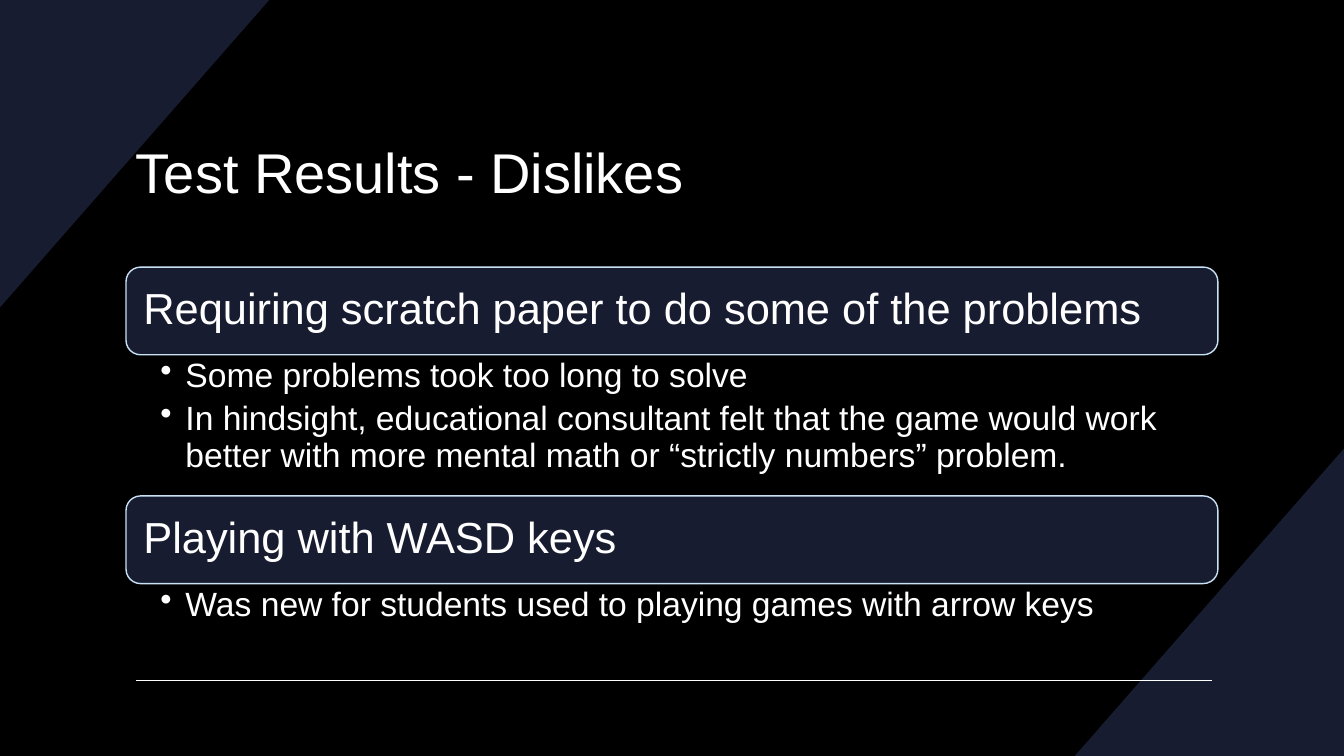
from dataclasses import dataclass

import pptx
import pptx.dml.color
import pptx.enum.shapes
import pptx.enum.text
import pptx.oxml.ns
import pptx.util
from lxml import etree
from pptx.util import Inches


@dataclass(frozen=True)
class Theme:
    font: str = "Arial"
    background: str = "000000"
    panel: str = "181C30"
    outline: str = "C8E1F4"
    text: str = "FFFFFF"
    title_size: int = 40
    heading_size: int = 31
    bullet_size: int = 24
    line_width: int = 1


def color(value):
    return pptx.dml.color.RGBColor.from_string(value)


class SlideBuilder:
    def __init__(self, presentation, theme):
        self.theme = theme
        self.slide = presentation.slides.add_slide(presentation.slide_layouts[6])
        fill = self.slide.background.fill
        fill.solid()
        fill.fore_color.rgb = color(theme.background)

    def paint(self, shape):
        shape.shadow.inherit = False
        shape.fill.solid()
        shape.fill.fore_color.rgb = color(self.theme.panel)

    def corner(self, points):
        start, *others = [(Inches(x), Inches(y)) for x, y in points]
        builder = self.slide.shapes.build_freeform(*start)
        builder.add_line_segments(others, close=True)
        shape = builder.convert_to_shape()
        self.paint(shape)
        shape.line.fill.background()

    def rule(self, left, right, top):
        connector = self.slide.shapes.add_connector(
            pptx.enum.shapes.MSO_CONNECTOR.STRAIGHT,
            Inches(left), Inches(top), Inches(right), Inches(top),
        )
        connector.line.color.rgb = color(self.theme.text)
        connector.line.width = pptx.util.Pt(self.theme.line_width)
        properties = connector.element.spPr
        etree.SubElement(properties, pptx.oxml.ns.qn("a:effectLst"))

    def fill_text(self, shape, lines, size, insets, middle=True):
        frame = shape.text_frame
        frame.word_wrap = True
        frame.margin_left, frame.margin_top, frame.margin_right, frame.margin_bottom = map(Inches, insets)
        anchor = pptx.enum.text.MSO_ANCHOR
        frame.vertical_anchor = anchor.MIDDLE if middle else anchor.TOP
        frame.text = "\n".join(lines)
        for paragraph in frame.paragraphs:
            paragraph.alignment = pptx.enum.text.PP_ALIGN.LEFT
            for run in paragraph.runs:
                run.font.name = self.theme.font
                run.font.size = pptx.util.Pt(size)
                run.font.color.rgb = color(self.theme.text)
        return frame.paragraphs

    def text_box(self, left, top, width, height):
        return self.slide.shapes.add_textbox(
            Inches(left), Inches(top), Inches(width), Inches(height)
        )

    def title(self, text, left, top, width, height):
        box = self.text_box(left, top, width, height)
        self.fill_text(box, [text], self.theme.title_size, (0.1, 0.05, 0.1, 0.05))

    def heading(self, text, left, top, width, height):
        panel = self.slide.shapes.add_shape(
            pptx.enum.shapes.MSO_SHAPE.ROUNDED_RECTANGLE,
            Inches(left), Inches(top), Inches(width), Inches(height),
        )
        self.paint(panel)
        panel.line.color.rgb = color(self.theme.outline)
        panel.line.width = pptx.util.Pt(self.theme.line_width)
        insets = (0.13, 0.13, 0.13, 0.13)
        for paragraph in self.fill_text(panel, [text], self.theme.heading_size, insets):
            paragraph.line_spacing = 0.9

    def bullets(self, lines, left, top, width, height):
        box = self.text_box(left, top, width, height)
        insets = (0.34, 0.04, 0.24, 0.04)
        for paragraph in self.fill_text(box, lines, self.theme.bullet_size, insets, middle=False):
            paragraph.line_spacing = 0.9
            paragraph.space_after = pptx.util.Pt(0.2 * self.theme.bullet_size)
            properties = paragraph._p.get_or_add_pPr()
            properties.set("marL", str(Inches(0.25)))
            properties.set("indent", str(Inches(-0.25)))
            bullet = etree.SubElement(properties, pptx.oxml.ns.qn("a:buChar"))
            bullet.set("char", "•")


def main():
    width, height = 13.33, 7.5
    presentation = pptx.Presentation()
    presentation.slide_width = Inches(width)
    presentation.slide_height = Inches(height)
    builder = SlideBuilder(presentation, Theme())

    corner_width, corner_height = 2.67, 3.05
    builder.corner([(width, height - corner_height), (width, height), (width - corner_width, height)])
    builder.corner([(0, corner_height), (0, 0), (corner_width, 0)])
    builder.rule(1.35, 12.02, 6.75)

    left, content_width, heading_height = 1.25, 10.83, 0.87
    builder.title("Test Results - Dislikes", left, 0.95, content_width, 1.49)

    dislikes = [
        ("Requiring scratch paper to do some of the problems", 1.4, [
            "Some problems took too long to solve",
            "In hindsight, educational consultant felt that the game would work "
            "better with more mental math or “strictly numbers” problem.",
        ]),
        ("Playing with WASD keys", 0.56, [
            "Was new for students used to playing games with arrow keys",
        ]),
    ]
    top = 2.65
    for heading, bullets_height, lines in dislikes:
        builder.heading(heading, left, top, content_width, heading_height)
        top += heading_height
        builder.bullets(lines, left, top, content_width, bullets_height)
        top += bullets_height

    presentation.save("out.pptx")


if __name__ == "__main__":
    main()
